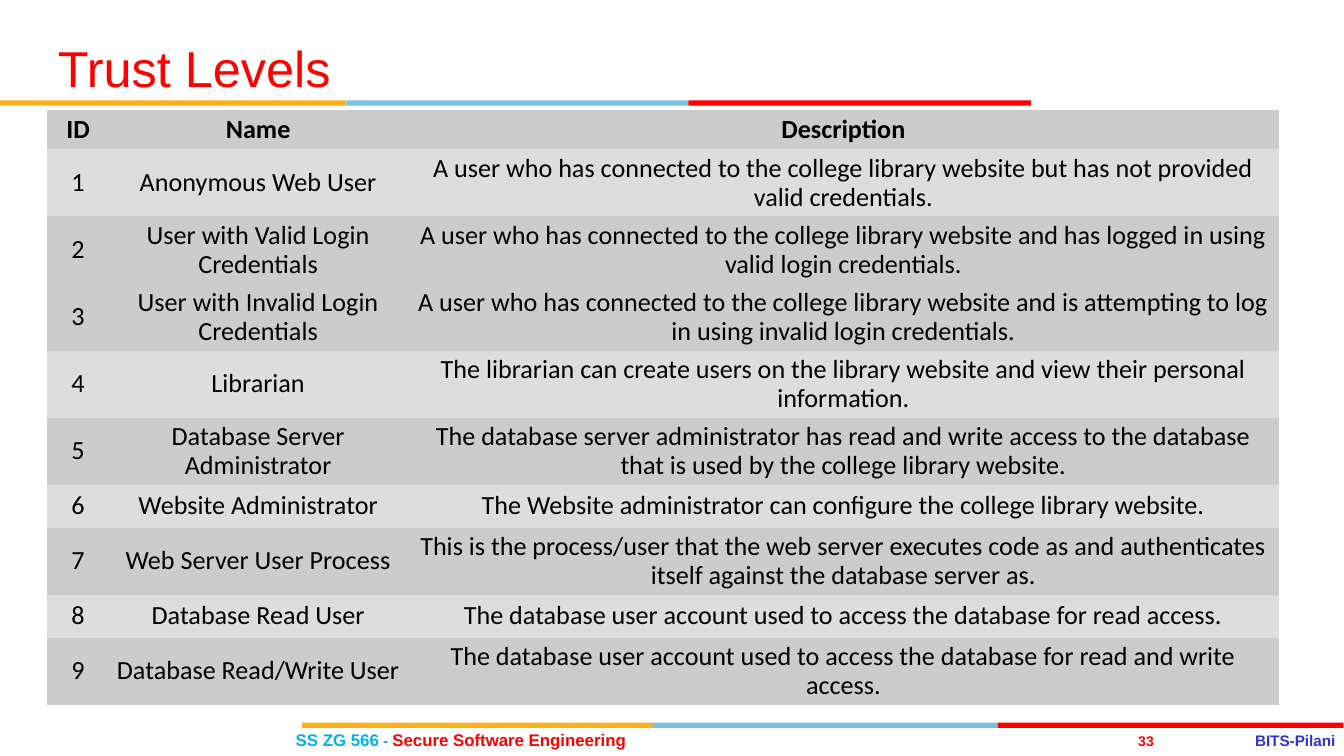
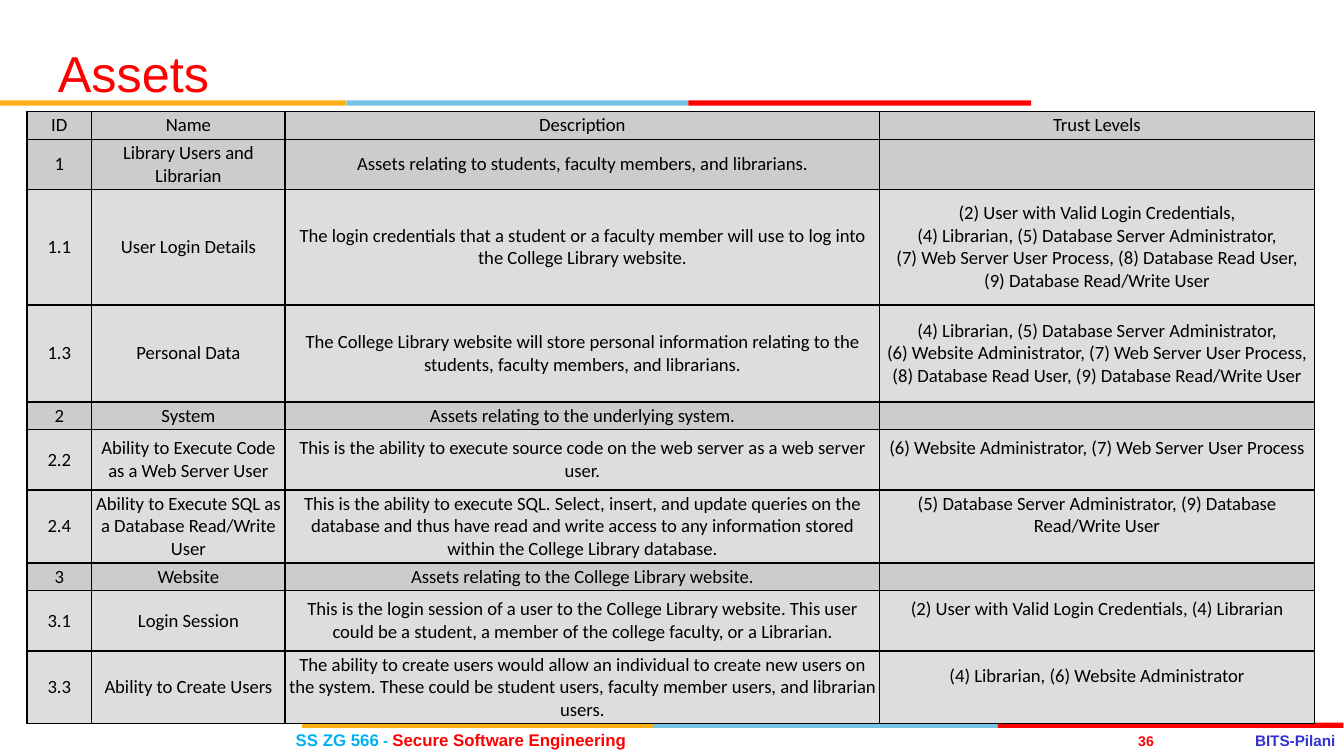
from lxml import etree
from pptx import Presentation
from pptx.dml.color import RGBColor
from pptx.enum.shapes import MSO_SHAPE
from pptx.enum.text import MSO_ANCHOR, MSO_AUTO_SIZE, PP_ALIGN
from pptx.oxml.ns import qn
from pptx.util import Cm, Pt

RECTANGLE = MSO_SHAPE.RECTANGLE
MIDDLE = MSO_ANCHOR.MIDDLE
NO_AUTOFIT = MSO_AUTO_SIZE.NONE
LEFT, CENTER, JUSTIFY = PP_ALIGN.LEFT, PP_ALIGN.CENTER, PP_ALIGN.JUSTIFY
TITLE_ONLY = 5

# Colours and fonts
RED = RGBColor(0xFF, 0x00, 0x00)
AMBER = RGBColor(0xFC, 0xB0, 0x17)
SKY = RGBColor(0x76, 0xC2, 0xE5)
CYAN = RGBColor(0x00, 0xB0, 0xF0)
INDIGO = RGBColor(0x33, 0x33, 0xCC)
BLACK = RGBColor(0x00, 0x00, 0x00)
DARK_ROW = RGBColor(0xCC, 0xCC, 0xCC)
LIGHT_ROW = RGBColor(0xDD, 0xDD, 0xDD)
HEADING_FONT, TABLE_FONT = "Arial", "Calibri"


class Deck:
    """Holds the shared style and the slide being built."""

    def __init__(self):
        self.prs = Presentation()
        self.prs.slide_width, self.prs.slide_height = Cm(25.4), Cm(14.29)
        self.slide = None

    def new_slide(self, title, top, height, number):
        self.slide = self.prs.slides.add_slide(self.prs.slide_layouts[TITLE_ONLY])
        self.title(title, top, height)
        self.band(0, 1.9, (6.55, 6.46, 6.48))
        self.band(5.71, 13.66, (6.63, 6.52, 6.53))
        self.label(23.72, 13.82, 1.63, 0.36, JUSTIFY,
                   [("BITS-Pilani", 8.2, INDIGO)])
        self.label(21.34, 13.84, 0.64, 0.33, CENTER, [(number, 7.5, RED)])
        self.label(5.59, 13.79, 7.01, 0.38, LEFT,
                   [("SS ZG 566", 9, CYAN), (" - ", 8.2, CYAN),
                    ("Secure Software Engineering", 9, RED)])

    def run(self, paragraph, text, size, color, font=HEADING_FONT, bold=False):
        run = paragraph.add_run()
        run.text = text
        run.font.name, run.font.size = font, Pt(size)
        run.font.bold = bold
        run.font.color.rgb = color

    def title(self, text, top, height):
        holder = self.slide.shapes.title
        holder.left, holder.top = Cm(0.84), Cm(top)
        holder.width, holder.height = Cm(17.58), Cm(height)
        frame = holder.text_frame
        frame.auto_size, frame.vertical_anchor = NO_AUTOFIT, MIDDLE
        paragraph = frame.paragraphs[0]
        paragraph.alignment, paragraph.line_spacing = LEFT, Pt(27)
        self.run(paragraph, text, 27, RED)

    def band(self, left, top, widths):
        for color, width in zip((AMBER, SKY, RED), widths):
            stripe = self.slide.shapes.add_shape(
                RECTANGLE, Cm(left), Cm(top), Cm(width), Cm(0.1))
            stripe.shadow.inherit = False
            stripe.fill.solid()
            stripe.fill.fore_color.rgb = color
            stripe.line.fill.background()
            left += width

    def label(self, left, top, width, height, align, runs):
        frame = self.slide.shapes.add_textbox(
            Cm(left), Cm(top), Cm(width), Cm(height)).text_frame
        frame.word_wrap, frame.vertical_anchor = True, MIDDLE
        frame.margin_left = frame.margin_right = 0
        frame.margin_top = frame.margin_bottom = 0
        paragraph = frame.paragraphs[0]
        paragraph.alignment = align
        for text, size, color in runs:
            self.run(paragraph, text, size, color, bold=True)

    def borders(self, cell, visible):
        props = cell._tc.get_or_add_tcPr()
        for side in ("a:lnL", "a:lnR", "a:lnT", "a:lnB"):
            line = etree.SubElement(props, qn(side), w=str(Pt(1)))
            if visible:
                fill = etree.SubElement(line, qn("a:solidFill"))
                etree.SubElement(fill, qn("a:srgbClr"), val=str(BLACK))
            else:
                etree.SubElement(line, qn("a:noFill"))

    def cell(self, cell, text, fill, size, margin, spacing, bold, ruled):
        self.borders(cell, ruled)
        cell.fill.solid()
        cell.fill.fore_color.rgb = fill
        cell.vertical_anchor = MIDDLE
        cell.margin_left = cell.margin_right = Cm(margin)
        cell.margin_top = cell.margin_bottom = Cm(margin)
        paragraph = cell.text_frame.paragraphs[0]
        paragraph.alignment = CENTER
        if spacing:
            paragraph.line_spacing = spacing
        if not text:
            etree.SubElement(paragraph._p, qn("a:endParaRPr"), sz=str(size * 100))
            return
        for index, line in enumerate(text.split("\n")):
            if index:
                paragraph.add_line_break()
            self.run(paragraph, line, size, BLACK, TABLE_FONT, bold)

    def table(self, left, top, widths, heights, rows, light_ids, size, margin,
              spacing=None, bold_header=False, ruled=False, raised_ids=()):
        table = self.slide.shapes.add_table(
            len(rows), len(widths), Cm(left), Cm(top),
            Cm(sum(widths)), Cm(sum(heights))).table
        table.first_row = table.horz_banding = False
        for column, width in zip(table.columns, widths):
            column.width = Cm(width)
        for index, (row, height) in enumerate(zip(rows, heights)):
            table.rows[index].height = Cm(height)
            fill = LIGHT_ROW if row[0] in light_ids else DARK_ROW
            for cell, text in zip(table.rows[index].cells, row):
                self.cell(cell, text, fill, size, margin, spacing,
                          bold_header and index == 0, ruled)
            # Raised rows keep one free line under the last column's text
            if row[0] in raised_ids:
                cell.margin_bottom = Cm(margin + 0.43)


TRUST_LEVELS = [
    ("ID", "Name", "Description"),
    ("1", "Anonymous Web User",
     "A user who has connected to the college library website but has not "
     "provided valid credentials."),
    ("2", "User with Valid Login Credentials",
     "A user who has connected to the college library website and has logged "
     "in using valid login credentials."),
    ("3", "User with Invalid Login Credentials",
     "A user who has connected to the college library website and is "
     "attempting to log in using invalid login credentials."),
    ("4", "Librarian",
     "The librarian can create users on the library website and view their "
     "personal information."),
    ("5", "Database Server Administrator",
     "The database server administrator has read and write access to the "
     "database that is used by the college library website."),
    ("6", "Website Administrator",
     "The Website administrator can configure the college library website."),
    ("7", "Web Server User Process",
     "This is the process/user that the web server executes code as and "
     "authenticates itself against the database server as."),
    ("8", "Database Read User",
     "The database user account used to access the database for read access."),
    ("9", "Database Read/Write User",
     "The database user account used to access the database for read and "
     "write access."),
]

ASSETS = [
    ("ID", "Name", "Description", "Trust Levels"),
    ("1", "Library Users and Librarian",
     "Assets relating to students, faculty members, and librarians.", ""),
    ("1.1", "User Login Details",
     "The login credentials that a student or a faculty member will use to "
     "log into the College Library website.",
     "(2) User with Valid Login Credentials,\n"
     "(4) Librarian, (5) Database Server Administrator,\n"
     "(7) Web Server User Process, (8) Database Read User,\n"
     "(9) Database Read/Write User"),
    ("1.3", "Personal Data",
     "The College Library website will store personal information relating "
     "to the students, faculty members, and librarians.",
     "(4) Librarian, (5) Database Server Administrator,\n"
     "(6) Website Administrator, (7) Web Server User Process, "
     "(8) Database Read User, (9) Database Read/Write User"),
    ("2", "System", "Assets relating to the underlying system.", ""),
    ("2.2", "Ability to Execute Code as a Web Server User",
     "This is the ability to execute source code on the web server as a web "
     "server user.",
     "(6) Website Administrator, (7) Web Server User Process"),
    ("2.4", "Ability to Execute SQL as a Database Read/Write User",
     "This is the ability to execute SQL. Select, insert, and update queries "
     "on the database and thus have read and write access to any information "
     "stored within the College Library database.",
     "(5) Database Server Administrator, (9) Database Read/Write User"),
    ("3", "Website", "Assets relating to the College Library website.", ""),
    ("3.1", "Login Session",
     "This is the login session of a user to the College Library website. "
     "This user could be a student, a member of the college faculty, or a "
     "Librarian.",
     "(2) User with Valid Login Credentials, (4) Librarian"),
    ("3.3", "Ability to Create Users",
     "The ability to create users would allow an individual to create new "
     "users on the system. These could be student users, faculty member "
     "users, and librarian users.",
     "(4) Librarian, (6) Website Administrator"),
]


def main():
    deck = Deck()

    # Trust levels
    deck.new_slide("Trust Levels", 0.36, 2.01, "33")
    one_line, two_lines = 0.81, 1.24
    heights = [0.74] + [one_line if row[0] in ("6", "8") else two_lines
                        for row in TRUST_LEVELS[1:]]
    deck.table(0.89, 2.08, (1.17, 5.64, 16.48), heights, TRUST_LEVELS,
               light_ids=("1", "4", "6", "8"), size=14, margin=0.1,
               spacing=0.9, bold_header=True)

    # Assets
    deck.new_slide("Assets", 0.69, 1.55, "36")
    group, item = 0.46, 1.14
    heights = (group, 0.91, 2.18, 1.83, group, item, item, group, item, item)
    deck.table(0.51, 2.11, (1.22, 3.66, 11.23, 8.22), heights, ASSETS,
               light_ids=[row[0] for row in ASSETS if "." in row[0]],
               size=10, margin=0.05, ruled=True,
               raised_ids=("2.2", "2.4", "3.1", "3.3"))

    deck.prs.save("out.pptx")


if __name__ == "__main__":
    main()
